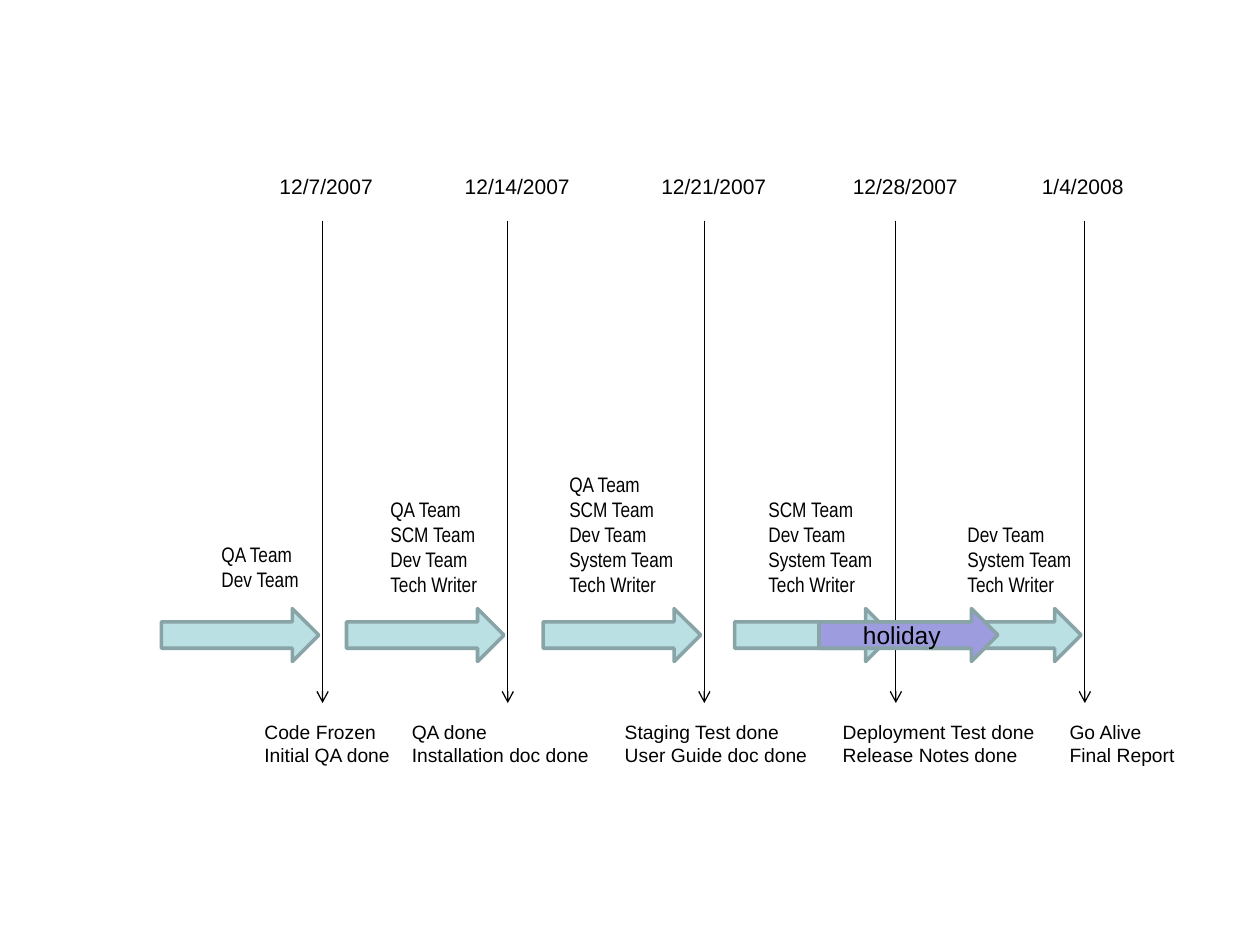
import pptx
import pptx.util
import pptx.dml.color
import pptx.enum.shapes
import pptx.enum.text
import pptx.oxml.ns
from lxml import etree

THEME = {
    "font": "Arial", "narrow": "Arial Narrow",
    "date": 12, "team": 12, "result": 11, "holiday": 14,
    "text": "000000", "phase": "BBE0E3", "break": "9C9CDF", "edge": "89A4A7",
}
rgb = pptx.dml.color.RGBColor.from_string
Pt = pptx.util.Pt

prs = pptx.Presentation()
prs.slide_width = pptx.util.Inches(10)
prs.slide_height = pptx.util.Inches(7.5)
s = prs.slides.add_slide(prs.slide_layouts[6])

# Unit grid: 10 columns by 7.5 rows
U = prs.slide_width // 10
ARROW_TOP, ARROW_H, ARROW_W = 4.83, 0.42, 1.25
LINE_TOP, LINE_END = 1.75, 5.58
DATE_TOP, RESULT_TOP, TEAM_BOTTOM = 1.33, 5.67, 4.79
SLACK = 0.03  # spare width that keeps each line of text whole


def add_text(left, top, width, height, lines, size, font):
    sp = s.shapes.add_textbox(
        *(round(v * U) for v in (left, top, width + SLACK, height)))
    tf = sp.text_frame
    tf.word_wrap = False
    tf.auto_size = pptx.enum.text.MSO_AUTO_SIZE.SHAPE_TO_FIT_TEXT
    for i, line in enumerate(lines):
        p = tf.paragraphs[0] if i == 0 else tf.add_paragraph()
        r = p.add_run()
        r.text = line
        r.font.size, r.font.name = Pt(size), font
        r.font.color.rgb = rgb(THEME["text"])


def add_arrow(left, width, color):
    sp = s.shapes.add_shape(
        pptx.enum.shapes.MSO_SHAPE.RIGHT_ARROW,
        *(round(v * U) for v in (left, ARROW_TOP, width, ARROW_H)))
    sp.shadow.inherit = False
    sp.fill.solid()
    sp.fill.fore_color.rgb = rgb(color)
    sp.line.color.rgb = rgb(THEME["edge"])
    sp.line.width = Pt(2)
    return sp


# Milestones: line x, date, date width,
# (result left, width, lines), (team left, width, lines)
milestones = [
    (2.56, "12/7/2007", 0.94,
     (2, 1.2, ["Code Frozen", "Initial QA done"]),
     (1.66, 0.83, ["QA Team", "Dev Team"])),
    (4.03, "12/14/2007", 1.03,
     (3.17, 1.6, ["QA done", "Installation doc done"]),
     (3, 0.9, ["QA Team", "SCM Team", "Dev Team", "Tech Writer"])),
    (5.59, "12/21/2007", 1.03,
     (4.86, 1.65, ["Staging Test done", "User Guide doc done"]),
     (4.42, 1.04, ["QA Team", "SCM Team", "Dev Team", "System Team", "Tech Writer"])),
    (7.11, "12/28/2007", 1.03,
     (6.59, 1.74, ["Deployment Test done", "Release Notes done"]),
     (6, 1.04, ["SCM Team", "Dev Team", "System Team", "Tech Writer"])),
    (8.61, "1/4/2008", 0.85,
     (8.39, 1.03, ["Go Alive", "Final Report"]),
     (7.58, 1.04, ["Dev Team", "System Team", "Tech Writer"])),
]

for x, date, date_w, result, team in milestones:
    # Phase arrow and date
    add_arrow(x - 1.28, ARROW_W, THEME["phase"])
    add_text(x - 0.44, DATE_TOP, date_w, 0.3, [date], THEME["date"], THEME["font"])

    # Milestone line with an open arrowhead
    line = s.shapes.add_connector(
        pptx.enum.shapes.MSO_CONNECTOR.STRAIGHT,
        *(round(v * U) for v in (x, LINE_TOP, x, LINE_END)))
    line.line.color.rgb = rgb(THEME["text"])
    line.line.width = Pt(0.75)
    etree.SubElement(line.line._get_or_add_ln(),
                     pptx.oxml.ns.qn("a:tailEnd"), type="arrow")
    etree.SubElement(line._element.spPr, pptx.oxml.ns.qn("a:effectLst"))

    # Results below the line
    left, width, lines = result
    add_text(left, RESULT_TOP, width, 0.47, lines, THEME["result"], THEME["font"])

    # Teams stacked up from the phase arrow; the first stack sits slightly higher
    left, width, lines = team
    height = 0.1 + 0.2 * len(lines)
    bottom = TEAM_BOTTOM - (0.04 if x == milestones[0][0] else 0)
    add_text(left, bottom - height, width, height, lines,
             THEME["team"], THEME["narrow"])

# Holiday arrow across the last two phases
sp = add_arrow(6.5, 1.42, THEME["break"])
tf = sp.text_frame
tf.vertical_anchor = pptx.enum.text.MSO_ANCHOR.MIDDLE
p = tf.paragraphs[0]
p.alignment = pptx.enum.text.PP_ALIGN.CENTER
r = p.add_run()
r.text = "holiday"
r.font.size, r.font.name = Pt(THEME["holiday"]), THEME["font"]
r.font.color.rgb = rgb(THEME["text"])

prs.save("out.pptx")
